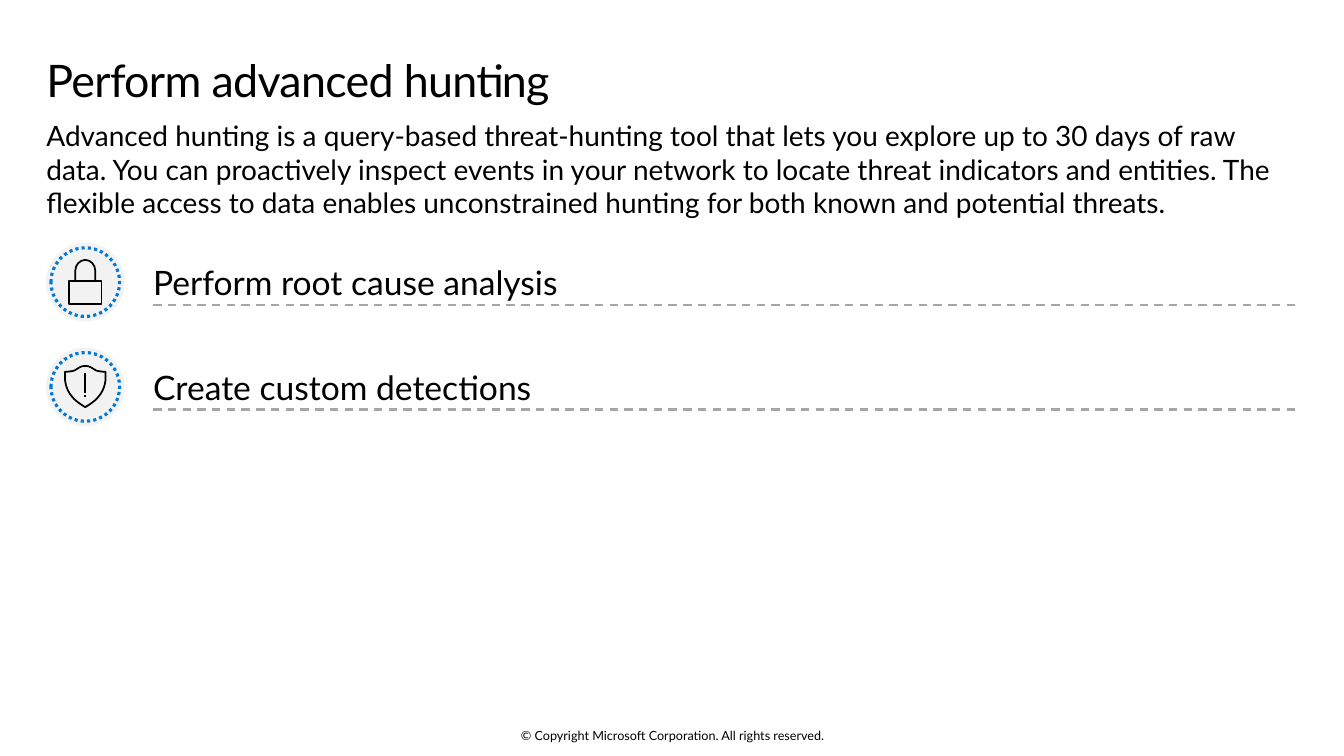
from lxml.etree import SubElement
from pptx import Presentation
from pptx.dml.color import RGBColor
from pptx.enum.dml import MSO_LINE
from pptx.enum.shapes import MSO_CONNECTOR, MSO_SHAPE
from pptx.enum.text import MSO_ANCHOR, PP_ALIGN
from pptx.oxml.ns import qn
from pptx.util import Cm, Pt

COLORS = {name: RGBColor.from_string(value) for name, value in {
    "ink": "000000", "badge": "F2F2F2", "ring": "0078D4", "rule": "A6A6A6"}.items()}

deck = Presentation()
deck.slide_width, deck.slide_height = Cm(33.87), Cm(19.05)
page = deck.slides.add_slide(deck.slide_layouts[6])


def add_text(text, left, top, width, height, size, frame_format=None, para_format=None):
    box = page.shapes.add_textbox(Cm(left), Cm(top), Cm(width), Cm(height))
    frame = box.text_frame
    settings = {"word_wrap": True, "margin_left": 0, "margin_top": 0,
                "margin_right": 0, "margin_bottom": 0, **(frame_format or {})}
    for name, value in settings.items():
        setattr(frame, name, value)
    para = frame.paragraphs[0]
    for name, value in (para_format or {}).items():
        setattr(para, name, value)
    span = para.add_run()
    span.text = text
    for name, value in {"name": "Lato", "size": Pt(size)}.items():
        setattr(span.font, name, value)
    span.font.color.rgb = COLORS["ink"]
    return span


def straight(start, *corners):
    """Straight edges, each as a curve whose control points lie on its end."""
    return [start] + [corner for corner in corners for _ in range(3)]


# Title, introduction and copyright line
title = add_text("Perform advanced hunting", 1.17, 1.22, 31.5, 1.88, 32,
                 {"margin_top": Cm(0.25), "margin_right": Cm(0.41), "margin_bottom": Cm(0.25)},
                 {"line_spacing": 0.9})
title._r.get_or_add_rPr().set("spc", "-50")
add_text("Advanced hunting is a query-based threat-hunting tool that lets you explore up to "
         "30 days of raw data. You can proactively inspect events in your network to locate "
         "threat indicators and entities. The flexible access to data enables unconstrained "
         "hunting for both known and potential threats.", 1.17, 2.99, 31.5, 2.57, 20)
add_text("© Copyright Microsoft Corporation. All rights reserved.", 11.23, 18.34, 11.43, 0.38, 9,
         {"vertical_anchor": MSO_ANCHOR.MIDDLE}, {"alignment": PP_ALIGN.CENTER})

# Icon curves in cm from the badge centre: right halves, then mirrored
half_shackle = [(0, -0.56), (0.14, -0.56), (0.25, -0.43),
                *straight((0.25, -0.3), (0.25, -0.03))]
half_shield = [(0, -0.53), (0.13, -0.53), (0.18, -0.46),
               (0.28, -0.41), (0.38, -0.38), (0.51, -0.38),
               *straight((0.51, -0.38), (0.51, -0.2)), (0.51, -0.2), (0.51, 0.05),
               (0.33, 0.25), (0.23, 0.38), (0, 0.51), (0, 0.51)]
shackle, shield = ([(-x, y) for x, y in reversed(half)] + half[1:]
                   for half in (half_shackle, half_shield))
lock_body = straight((0.41, 0.56), (-0.41, 0.56), (-0.41, -0.03), (0.41, -0.03))

# Each contour: points and whether it is closed
lock_icon = [(lock_body, True), (shackle, False)]
shield_icon = [(shield, True), (straight((0, -0.36), (0, 0.13)), False),
               (straight((0, 0.2), (0, 0.25)), False)]

# Rows: dashed rule, badge, icon and label
CENTER_X, FIRST_CENTER_Y, ROW_PITCH = 2.15, 7.11, 2.64
LABEL_LEFT, LABEL_WIDTH, LABEL_HEIGHT = 3.86, 28.85, 1.83
rows = [("Perform root cause analysis", lock_icon), ("Create custom detections", shield_icon)]

for index, (label, icon) in enumerate(rows):
    center_y = FIRST_CENTER_Y + index * ROW_PITCH

    rule_y = Cm(center_y + 0.57)
    rule = page.shapes.add_connector(MSO_CONNECTOR.STRAIGHT, Cm(LABEL_LEFT), rule_y,
                                     Cm(32.66), rule_y)
    rule.line.color.rgb = COLORS["rule"]
    for name, value in {"width": Pt(1.5), "dash_style": MSO_LINE.DASH}.items():
        setattr(rule.line, name, value)
    SubElement(rule._element.spPr, qn("a:effectLst"))

    badge, ring = (page.shapes.add_shape(MSO_SHAPE.OVAL, Cm(CENTER_X - size / 2),
                                         Cm(center_y - size / 2), Cm(size), Cm(size))
                   for size in (1.98, 1.73))
    badge.fill.solid()
    badge.fill.fore_color.rgb = COLORS["badge"]
    badge.line.fill.background()
    ring.fill.background()
    ring.line.color.rgb = COLORS["ring"]
    for name, value in {"width": Pt(2.25), "dash_style": MSO_LINE.ROUND_DOT}.items():
        setattr(ring.line, name, value)

    builder = None
    for points, closed in icon:
        spots = [(Cm(CENTER_X + x), Cm(center_y + y)) for x, y in points]
        if builder is None:
            builder = page.shapes.build_freeform(*spots[0])
        else:
            builder.move_to(*spots[0])
        builder.add_line_segments(spots[1:], close=closed)
    drawing = builder.convert_to_shape()

    # Join every three segments into one cubic curve
    segments = list(drawing._element.iter(qn("a:lnTo")))
    for first, second, third in zip(segments[::3], segments[1::3], segments[2::3]):
        first.tag = qn("a:cubicBezTo")
        for segment in (second, third):
            first.append(segment[0])
            segment.getparent().remove(segment)

    drawing.fill.background()
    drawing.line.color.rgb = COLORS["ink"]
    drawing.line.width = Pt(1.25)
    for shape in (badge, ring, drawing):
        shape.shadow.inherit = False

    add_text(label, LABEL_LEFT, center_y - LABEL_HEIGHT / 2, LABEL_WIDTH, LABEL_HEIGHT, 24,
             {"vertical_anchor": MSO_ANCHOR.MIDDLE})

deck.save("out.pptx")
